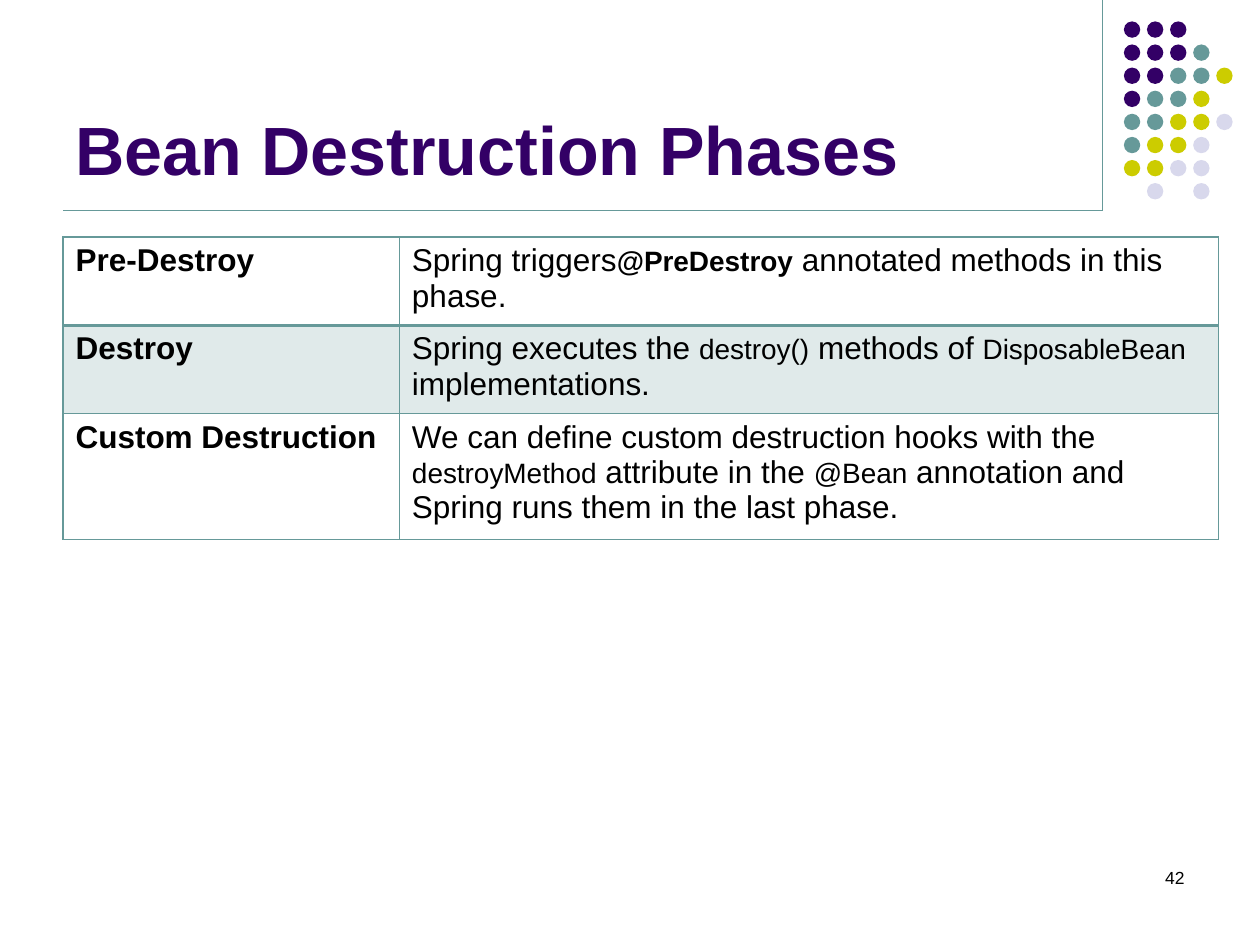
from typing import NamedTuple

from lxml.etree import SubElement
from pptx import Presentation
from pptx.dml.color import RGBColor
from pptx.enum.shapes import MSO_CONNECTOR as Connector, MSO_SHAPE as Preset
from pptx.enum.text import MSO_ANCHOR as Anchor, PP_ALIGN as Align
from pptx.oxml.ns import qn
from pptx.util import Inches, Pt

PURPLE = RGBColor(0x33, 0x00, 0x66)
TEAL = RGBColor(0x66, 0x99, 0x99)
OLIVE = RGBColor(0xCC, 0xCC, 0x00)
LAVENDER = RGBColor(0xD8, 0xD8, 0xEC)
BLACK = RGBColor(0, 0, 0)

DOT_COLORS = {"P": PURPLE, "T": TEAL, "O": OLIVE, "L": LAVENDER}
DOT_ROWS = ["PPP", "PPPT", "PPTTO", "PTTO", "TTOOL", "TOOL", "OOLL", ".L.L"]
DOT_LEFT, DOT_TOP, DOT_SIZE, DOT_PITCH = 8.92, 0.17, 0.13, 0.55 / 3

RULE_X, RULE_Y = 8.75, 1.67
COLUMN_WIDTHS = [2.67, 6.5]


class Span(NamedTuple):
    text: str
    size: int = 18
    bold: bool = False


class Phase(NamedTuple):
    name: str
    description: list[Span]
    height: float
    rule_above: int = 1
    rule_below: int = 1
    shaded: bool = False


PHASES = [
    Phase("Pre-Destroy", [
        Span("Spring triggers"),
        Span("@PreDestroy", 16, True),
        Span(" annotated methods in this phase."),
    ], 0.66, rule_below=2),
    Phase("Destroy", [
        Span("Spring executes the "),
        Span("destroy()", 16),
        Span(" methods of "),
        Span("DisposableBean", 16),
        Span(" implementations."),
    ], 0.66, rule_above=2, shaded=True),
    Phase("Custom Destruction", [
        Span("We can define custom destruction hooks with the "),
        Span("destroyMethod", 16),
        Span(" attribute in the "),
        Span("@Bean", 16),
        Span(" annotation and Spring runs them in the last phase."),
    ], 0.94),
]


def write(para, spans: list[Span], color: RGBColor = BLACK) -> None:
    for span in spans:
        run = para.add_run()
        run.text = span.text
        style = {"name": "Arial", "size": Pt(span.size), "bold": span.bold}
        for key, value in style.items():
            setattr(run.font, key, value)
        run.font.color.rgb = color


def draw_rule(page, start: tuple[float, float], end: tuple[float, float]) -> None:
    ends = [Inches(value) for value in (*start, *end)]
    rule = page.shapes.add_connector(Connector.STRAIGHT, *ends)
    rule.line.color.rgb = TEAL
    rule.line.width = Pt(0.75)
    SubElement(rule._element.spPr, qn("a:effectLst"))


def draw_dots(page) -> None:
    group = page.shapes.add_group_shape()
    for row, codes in enumerate(DOT_ROWS):
        for column, code in enumerate(codes):
            if code not in DOT_COLORS:
                continue
            dot = group.shapes.add_shape(
                Preset.OVAL,
                Inches(DOT_LEFT + column * DOT_PITCH),
                Inches(DOT_TOP + row * DOT_PITCH),
                Inches(DOT_SIZE), Inches(DOT_SIZE))
            dot.shadow.inherit = False
            dot.fill.solid()
            dot.fill.fore_color.rgb = DOT_COLORS[code]
            dot.line.fill.background()


def draw_title(page) -> None:
    title = page.shapes.title
    place = {"left": 0.5, "top": 0.13, "width": 8.25, "height": 1.42}
    for key, value in place.items():
        setattr(title, key, Inches(value))
    title.text_frame.vertical_anchor = Anchor.BOTTOM
    para = title.text_frame.paragraphs[0]
    para.alignment = Align.LEFT
    write(para, [Span("Bean Destruction Phases", 39, True)], PURPLE)


def format_cell(cell, phase: Phase) -> None:
    """Set the borders first, since the fill must follow them in the XML."""
    properties = cell._tc.get_or_add_tcPr()
    widths = {"lnL": 1, "lnR": 1, "lnT": phase.rule_above, "lnB": phase.rule_below}
    for side, width in widths.items():
        line = SubElement(properties, qn(f"a:{side}"), w=str(Pt(width)))
        SubElement(SubElement(line, qn("a:solidFill")), qn("a:srgbClr"), val=str(TEAL))
    if phase.shaded:
        cell.fill.solid()
        cell.fill.fore_color.rgb = TEAL
        color = properties.find(qn("a:solidFill")).find(qn("a:srgbClr"))
        SubElement(color, qn("a:alpha"), val="20000")
    else:
        cell.fill.background()


def draw_phases(page) -> None:
    height = sum(phase.height for phase in PHASES)
    table = page.shapes.add_table(
        len(PHASES), len(COLUMN_WIDTHS), Inches(0.5), Inches(1.88),
        Inches(sum(COLUMN_WIDTHS)), Inches(height)).table
    table.first_row = table.horz_banding = False
    for column, width in zip(table.columns, COLUMN_WIDTHS):
        column.width = Inches(width)
    for row, phase in zip(table.rows, PHASES):
        row.height = Inches(phase.height)
        contents = [[Span(phase.name, bold=True)], phase.description]
        for cell, spans in zip(row.cells, contents):
            format_cell(cell, phase)
            write(cell.text_frame.paragraphs[0], spans)


def draw_page_number(page) -> None:
    box = page.shapes.add_textbox(Inches(7.17), Inches(6.83), Inches(2.33), Inches(0.5))
    box.text_frame.word_wrap = True
    para = box.text_frame.paragraphs[0]
    para.alignment = Align.RIGHT
    write(para, [Span("42", 10)])


def main() -> None:
    deck = Presentation()
    deck.slide_width, deck.slide_height = Inches(10), Inches(7.5)
    page = deck.slides.add_slide(deck.slide_layouts[5])
    draw_rule(page, (RULE_X, 0), (RULE_X, RULE_Y))
    draw_dots(page)
    draw_rule(page, (0.5, RULE_Y), (RULE_X, RULE_Y))
    draw_title(page)
    draw_page_number(page)
    draw_phases(page)
    deck.save("out.pptx")


if __name__ == "__main__":
    main()
